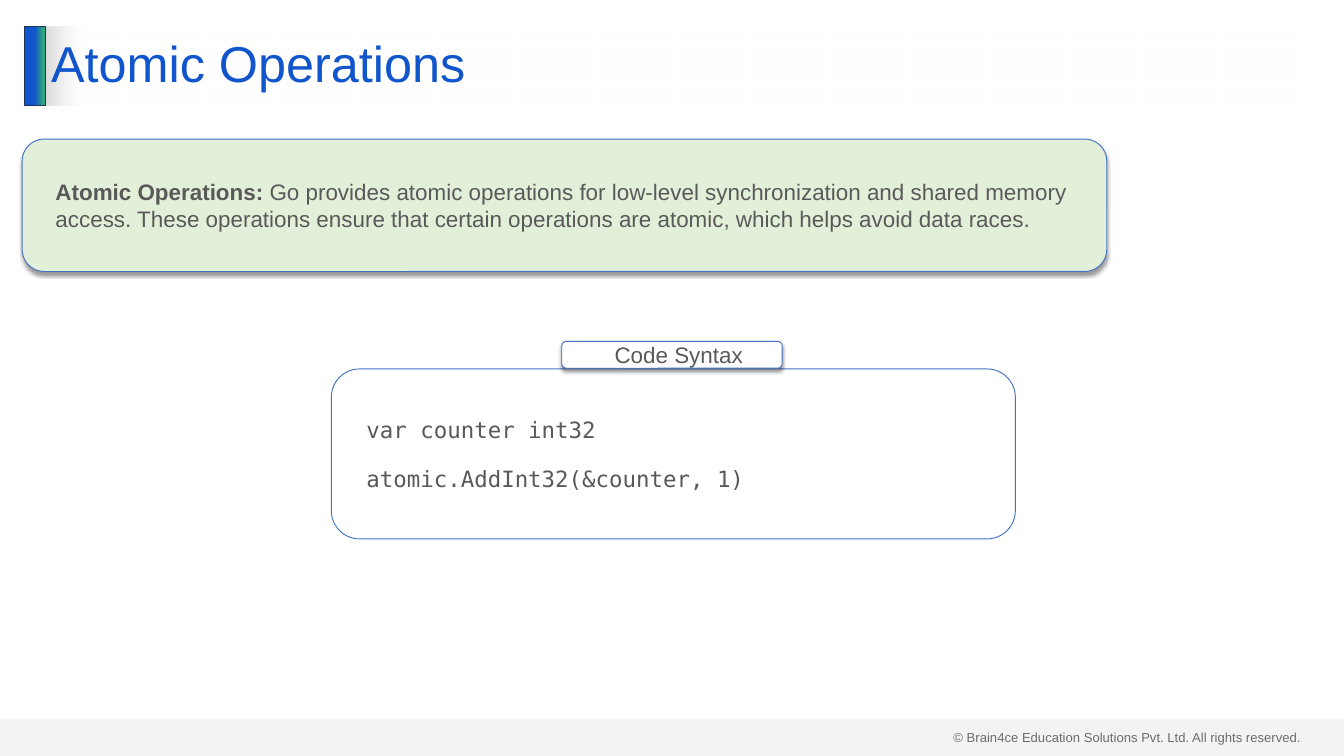
import pptx
import pptx.dml.color
import pptx.enum.shapes
import pptx.enum.text
import pptx.oxml
import pptx.oxml.ns
import pptx.util
from pptx.util import Inches

COLORS = {
    "blue": "1155CC",
    "green": "2EA87D",
    "navy": "1E3256",
    "outline": "4472C4",
    "mint": "E2F0D9",
    "white": "FFFFFF",
    "silver": "D9D9D9",
    "body": "595959",
    "footer": "404040",
    "black": "000000",
}
BODY_FONT = "Arial"
CODE_FONT = "DejaVu Sans Mono"
NAMESPACE = pptx.oxml.ns.nsdecls("a")
ANCHOR = pptx.enum.text.MSO_ANCHOR
ALIGN = pptx.enum.text.PP_ALIGN
SHAPES = pptx.enum.shapes.MSO_SHAPE


def rgb(name):
    return pptx.dml.color.RGBColor.from_string(COLORS[name])


def set_font(paragraph, size, color, face=BODY_FONT):
    paragraph.font.size = pptx.util.Pt(size)
    paragraph.font.name = face
    paragraph.font.color.rgb = rgb(color)


def color_xml(color, opacity):
    return (f'<a:srgbClr {NAMESPACE} val="{COLORS[color]}">'
            f'<a:alpha val="{opacity * 1000}"/></a:srgbClr>')


def set_gradient(shape, stops):
    """Fill from left to right with (position, colour, opacity) stops in percent."""
    shape.fill.gradient()
    shape.fill.gradient_angle = 0
    stop_list = shape.fill._fill._gradFill.find(pptx.oxml.ns.qn("a:gsLst"))
    for old_stop in list(stop_list):
        stop_list.remove(old_stop)
    for position, color, opacity in stops:
        stop_list.append(pptx.oxml.parse_xml(
            f'<a:gs {NAMESPACE} pos="{position * 1000}">{color_xml(color, opacity)}</a:gs>'))


def add_block(slide, kind, left, top, width, height, fill=None, line=None):
    block = slide.shapes.add_shape(
        kind, Inches(left), Inches(top), Inches(width), Inches(height))
    block.shadow.inherit = False
    if fill:
        block.fill.solid()
        block.fill.fore_color.rgb = rgb(fill)
    else:
        block.fill.background()
    if line:
        block.line.color.rgb = rgb(line)
        block.line.width = pptx.util.Pt(1)
    else:
        block.line.fill.background()
    return block


def add_drop_shadow(shape):
    effects = shape._element.spPr.find(pptx.oxml.ns.qn("a:effectLst"))
    effects.append(pptx.oxml.parse_xml(
        f'<a:outerShdw {NAMESPACE} blurRad="{pptx.util.Pt(4)}" dist="{pptx.util.Pt(3)}" '
        f'dir="5400000" algn="t" rotWithShape="0">{color_xml("black", 40)}</a:outerShdw>'))


def add_card(slide, left, top, width, height, paragraphs, fill=None,
             face=BODY_FONT, align=ALIGN.LEFT):
    """Add a rounded box; each paragraph is a list of (text, bold) runs."""
    card = add_block(slide, SHAPES.ROUNDED_RECTANGLE, left, top, width, height,
                     fill, "outline")
    frame = card.text_frame
    frame.word_wrap = True
    frame.vertical_anchor = ANCHOR.MIDDLE
    frame.margin_left = frame.margin_right = Inches(0.2)
    frame.margin_top = frame.margin_bottom = Inches(0.1)
    for index, runs in enumerate(paragraphs):
        paragraph = frame.add_paragraph() if index else frame.paragraphs[0]
        paragraph.alignment = align
        paragraph._p.get_or_add_pPr().set("marL", str(Inches(0.2)))
        if index:
            paragraph.space_before = pptx.util.Pt(12)
        if index < len(paragraphs) - 1:
            paragraph.space_after = pptx.util.Pt(12)
        set_font(paragraph, 24, "body", face)
        for text, bold in runs:
            run = paragraph.add_run()
            run.text = text
            if bold:
                run.font.bold = True
    return card


def add_footer(slide):
    copyright_box = slide.shapes.add_textbox(
        Inches(14.09), Inches(10.8), Inches(5.41), Inches(0.34))
    copyright_box.text_frame.word_wrap = True
    notice = copyright_box.text_frame.paragraphs[0]
    notice.text = "© Brain4ce Education Solutions Pvt. Ltd. All rights reserved."
    set_font(notice, 14, "footer")

    # Translucent band over the notice
    band = add_block(slide, SHAPES.RECTANGLE, 0, 10.7, 20, 0.55, "silver")
    band_color = band.fill._xPr.find(pptx.oxml.ns.qn("a:solidFill"))
    band_color.replace(band_color[0], pptx.oxml.parse_xml(color_xml("silver", 29)))


def add_title(slide, text):
    accent = add_block(slide, SHAPES.RECTANGLE, 0.37, 0.39, 0.3, 1.18, line="navy")
    set_gradient(accent, [(51, "blue", 100), (90, "green", 100), (100, "green", 100)])

    title = slide.shapes.title
    title.left, title.top = Inches(0.66), Inches(0.39)
    title.width, title.height = Inches(18.67), Inches(1.18)
    set_gradient(title, [(0, "silver", 100), (3, "white", 50), (100, "white", 50)])
    frame = title.text_frame
    frame.text = text
    frame.auto_size = pptx.enum.text.MSO_AUTO_SIZE.NONE
    frame.vertical_anchor = ANCHOR.MIDDLE
    heading = frame.paragraphs[0]
    heading.alignment = ALIGN.LEFT
    heading.line_spacing = 0.9
    set_font(heading, 54, "blue")


def main():
    deck = pptx.Presentation()
    deck.slide_width, deck.slide_height = Inches(20), Inches(11.25)
    slide = deck.slides.add_slide(deck.slide_layouts[5])

    add_footer(slide)
    add_title(slide, "Atomic Operations")

    # Code example with its label
    add_card(slide, 4.93, 5.49, 10.18, 2.53,
             [[("var counter int32", False)],
              [("atomic.AddInt32(&counter, 1)", False)]],
             face=CODE_FONT)
    label = add_card(slide, 8.36, 5.08, 3.28, 0.4, [[("Code Syntax", False)]],
                     fill="white", align=ALIGN.CENTER)
    add_drop_shadow(label)

    # Definition
    definition = add_card(
        slide, 0.33, 2.07, 16.14, 1.97,
        [[("Atomic Operations: ", True),
          ("Go provides atomic operations for low-level synchronization and shared "
           "memory access. These operations ensure that certain operations are "
           "atomic, which helps avoid data races.", False)]],
        fill="mint")
    add_drop_shadow(definition)

    deck.save("out.pptx")


if __name__ == "__main__":
    main()
